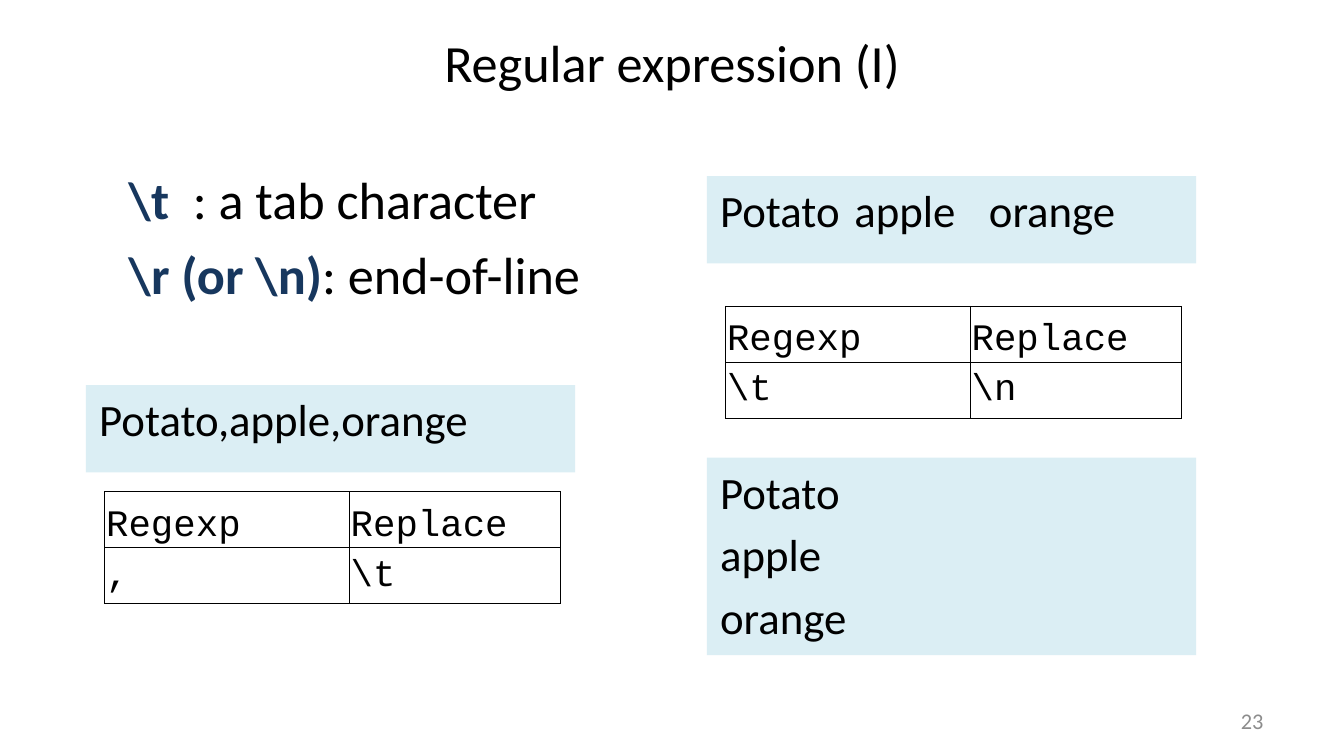
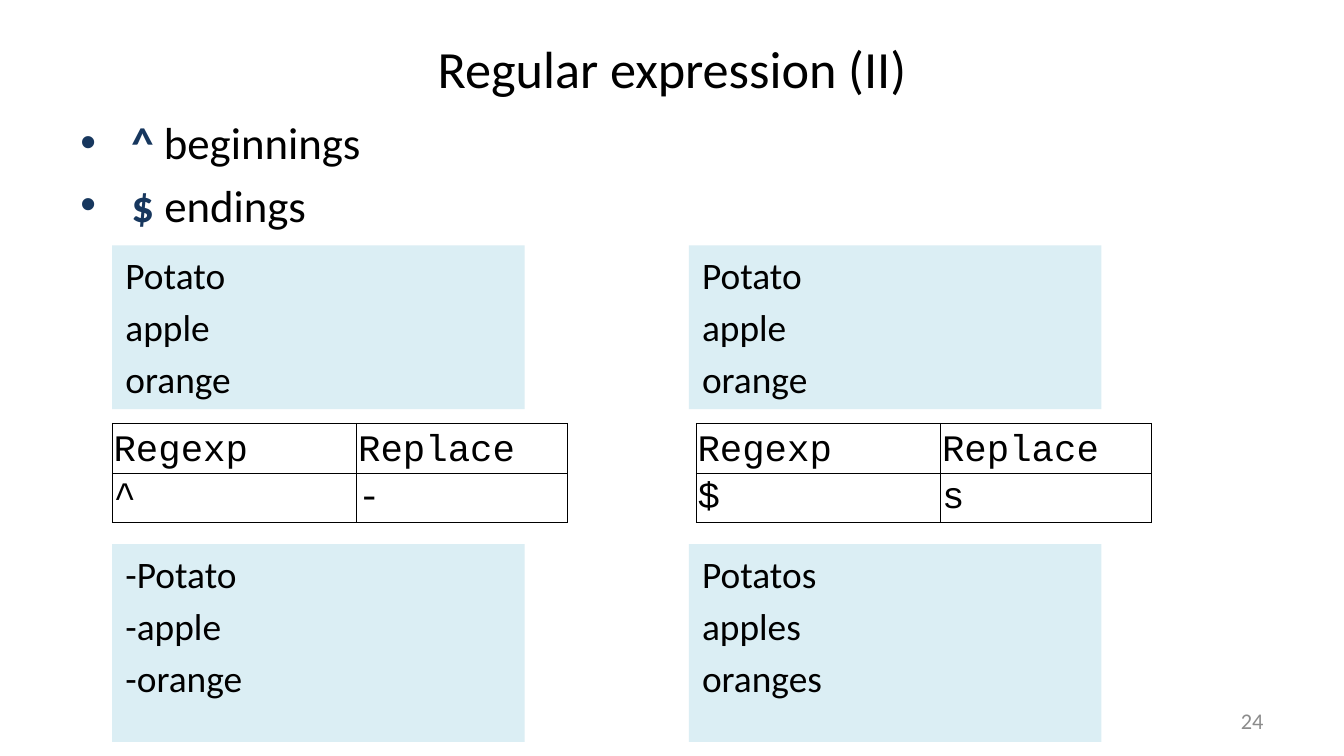
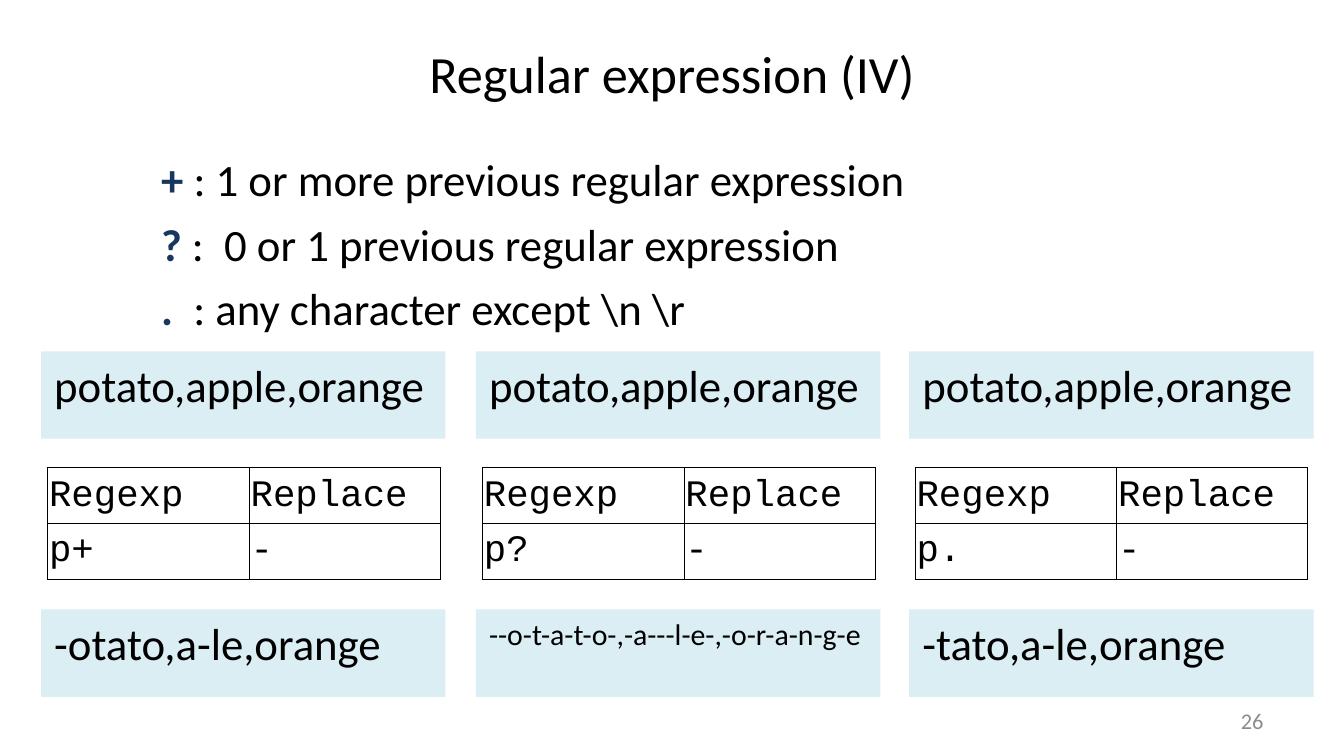
"""Build three slides on regular expressions with search-and-replace examples."""
from lxml.etree import SubElement
from pptx import Presentation
from pptx.dml.color import RGBColor
from pptx.enum.shapes import MSO_SHAPE
from pptx.enum.text import MSO_ANCHOR, PP_ALIGN
from pptx.oxml import parse_xml
from pptx.oxml.ns import nsdecls, qn
from pptx.util import Pt

PX = 4572
BLACK = RGBColor(0x00, 0x00, 0x00)
NAVY = RGBColor(0x17, 0x37, 0x5E)
PALE_BLUE = RGBColor(0xDB, 0xEE, 0xF4)
GREY = RGBColor(0x8C, 0x8C, 0x8C)
FRUITS = "Potato\napple\norange"
FRUIT_LIST = "potato,apple,orange"


def scaled(*lengths):
    return [length * PX for length in lengths]


def write(frame, text, size, color=BLACK, font="Calibri", align=PP_ALIGN.LEFT,
          anchor=MSO_ANCHOR.TOP):
    frame.text = text
    frame.word_wrap = True
    frame.vertical_anchor = anchor
    for index, paragraph in enumerate(frame.paragraphs):
        paragraph.alignment = align
        paragraph.space_before = Pt(size * 0.2 if index else 0)
        for run in paragraph.runs:
            run.font.name = font
            run.font.size = Pt(size)
            run.font.color.rgb = color


lessons = [
    {
        "number": "23", "title": "Regular expression (I)", "title_top": 28,
        "rules_at": (172, 220, 828, 244), "rules_size": 28, "bulleted": False,
        "rules": [("\\t", "  : a tab character"), ("\\r (or \\n)", ": end-of-line")],
        "samples": [
            (128, 573, 728, 130, 24, "Potato,apple,orange"),
            (1052, 262, 728, 130, 24, "Potato\tapple\torange"),
            (1052, 681, 728, 294, 24, FRUITS),
        ],
        "columns": (364, 314), "row_height": 83, "header_anchor": MSO_ANCHOR.BOTTOM,
        "replacements": [(156, 732, ",", "\\t"), (1080, 456, "\\t", "\\n")],
    },
    {
        "number": "24", "title": "Regular expression (II)", "title_top": 38,
        "rules_at": (100, 161, 1800, 200), "rules_size": 24, "bulleted": True,
        "rules": [("^", " beginnings"), ("$", " endings")],
        "samples": [
            (167, 365, 614, 244, 20, FRUITS),
            (167, 810, 614, 294, 20, "-Potato\n-apple\n-orange"),
            (1025, 365, 614, 244, 20, FRUITS),
            (1025, 810, 614, 294, 20, "Potatos\napples\noranges"),
        ],
        "columns": (364, 314), "row_height": 74, "header_anchor": MSO_ANCHOR.BOTTOM,
        "replacements": [(167, 630, "^", "-"), (1036, 630, "$", "s")],
    },
    {
        "number": "26", "title": "Regular expression (IV)", "title_top": 45,
        "rules_at": (220, 200, 1624, 304), "rules_size": 24, "bulleted": False,
        "rules": [
            ("+", " : 1 or more previous regular expression"),
            ("?", " :  0 or 1 previous regular expression"),
            (".", "  : any character except \\n \\r"),
        ],
        "samples": [
            *[(left, 523, 602, 130, 24, FRUIT_LIST) for left in (61, 708, 1353)],
            (61, 907, 602, 130, 24, "-otato,a-le,orange"),
            (708, 907, 602, 130, 16, "--o-t-a-t-o-,-a---l-e-,-o-r-a-n-g-e"),
            (1353, 907, 602, 130, 24, "-tato,a-le,orange"),
        ],
        "columns": (300, 284), "row_height": 83, "header_anchor": MSO_ANCHOR.MIDDLE,
        "replacements": [(71, 696, "p+", "-"), (718, 696, "p?", "-"), (1362, 696, "p.", "-")],
    },
]

deck = Presentation()
deck.slide_width, deck.slide_height = scaled(2000, 1125)

for lesson in lessons:
    slide = deck.slides.add_slide(deck.slide_layouts[5])
    shapes = slide.shapes

    title = shapes.title
    title.left, title.top, title.width, title.height = scaled(100, lesson["title_top"], 1800, 126)
    write(title.text_frame, lesson["title"], 28, align=PP_ALIGN.CENTER, anchor=MSO_ANCHOR.MIDDLE)

    rules = shapes.add_textbox(*scaled(*lesson["rules_at"])).text_frame
    write(rules, "\n".join(symbol for symbol, _ in lesson["rules"]), lesson["rules_size"], NAVY)
    for paragraph, (_, meaning) in zip(rules.paragraphs, lesson["rules"]):
        paragraph.runs[0].font.bold = True
        explanation = paragraph.add_run()
        explanation.text = meaning
        explanation.font.name = "Calibri"
        explanation.font.size = Pt(lesson["rules_size"])
        explanation.font.color.rgb = BLACK
        if lesson["bulleted"]:
            properties = paragraph._p.get_or_add_pPr()
            properties.set("marL", str(76 * PX))
            properties.set("indent", str(-76 * PX))
            SubElement(properties, qn("a:buFont"), typeface="Arial")
            SubElement(properties, qn("a:buChar"), char="•")
        else:
            paragraph.space_before = Pt(0)
            paragraph.line_spacing = 1.2

    for left, top, width, height, size, text in lesson["samples"]:
        sample = shapes.add_shape(MSO_SHAPE.RECTANGLE, *scaled(left, top, width, height))
        sample.shadow.inherit = False
        sample.fill.solid()
        sample.fill.fore_color.rgb = PALE_BLUE
        sample.line.fill.background()
        write(sample.text_frame, text, size)

    for left, top, regexp, replacement in lesson["replacements"]:
        frame = scaled(left, top, sum(lesson["columns"]), 2 * lesson["row_height"])
        table = shapes.add_table(2, 2, *frame).table
        table.first_row = table.horz_banding = False
        for column, width in zip(table.columns, lesson["columns"]):
            column.width = width * PX
        for row, words, anchor in zip(
            table.rows,
            [("Regexp", "Replace"), (regexp, replacement)],
            [lesson["header_anchor"], MSO_ANCHOR.MIDDLE],
        ):
            row.height = lesson["row_height"] * PX
            for cell, word in zip(row.cells, words):
                write(cell.text_frame, word, 20, font="Courier New")
                cell.vertical_anchor = anchor
                cell.margin_left = cell.margin_top = cell.margin_right = 2 * PX
                cell.margin_bottom = 0
                cell.fill.background()
                for position, side in enumerate(("lnL", "lnR", "lnT", "lnB")):
                    border = parse_xml(
                        f'<a:{side} {nsdecls("a")} w="{Pt(0.5)}"><a:solidFill>'
                        f'<a:srgbClr val="{BLACK}"/></a:solidFill></a:{side}>'
                    )
                    cell._tc.get_or_add_tcPr().insert(position, border)

    page_number = shapes.add_textbox(*scaled(1434, 1043, 466, 60)).text_frame
    write(page_number, lesson["number"], 12, GREY, align=PP_ALIGN.RIGHT, anchor=MSO_ANCHOR.MIDDLE)

deck.save("out.pptx")
